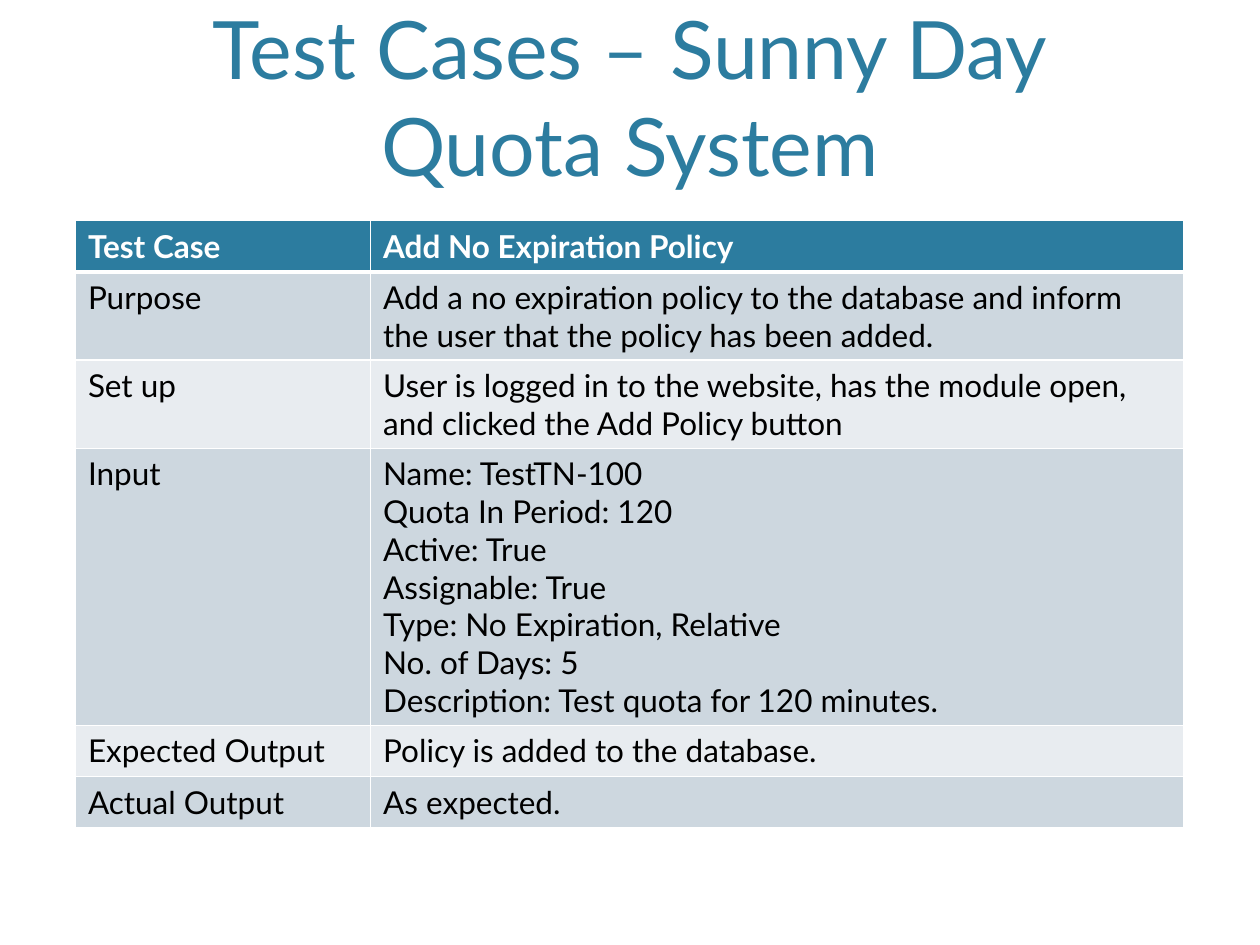
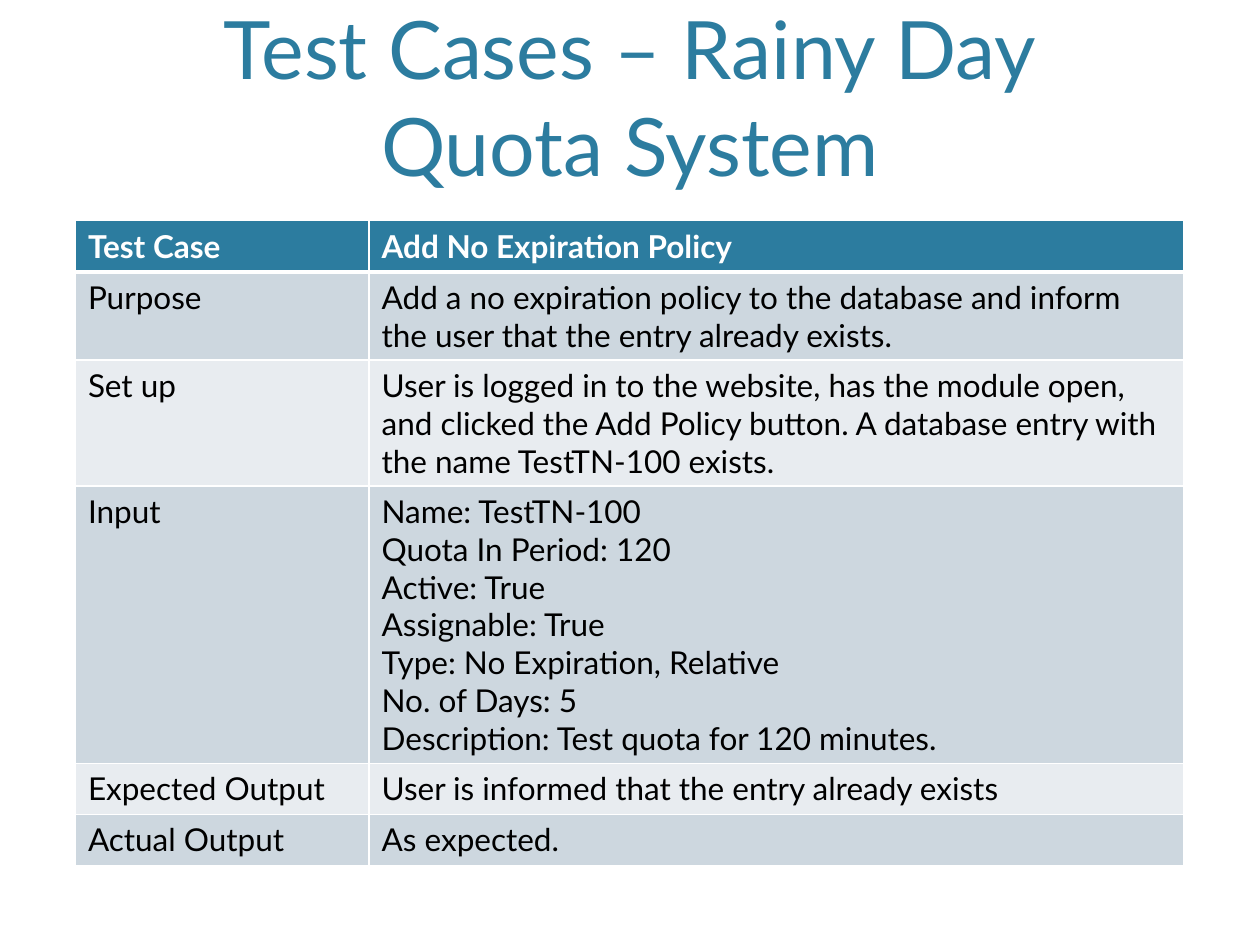
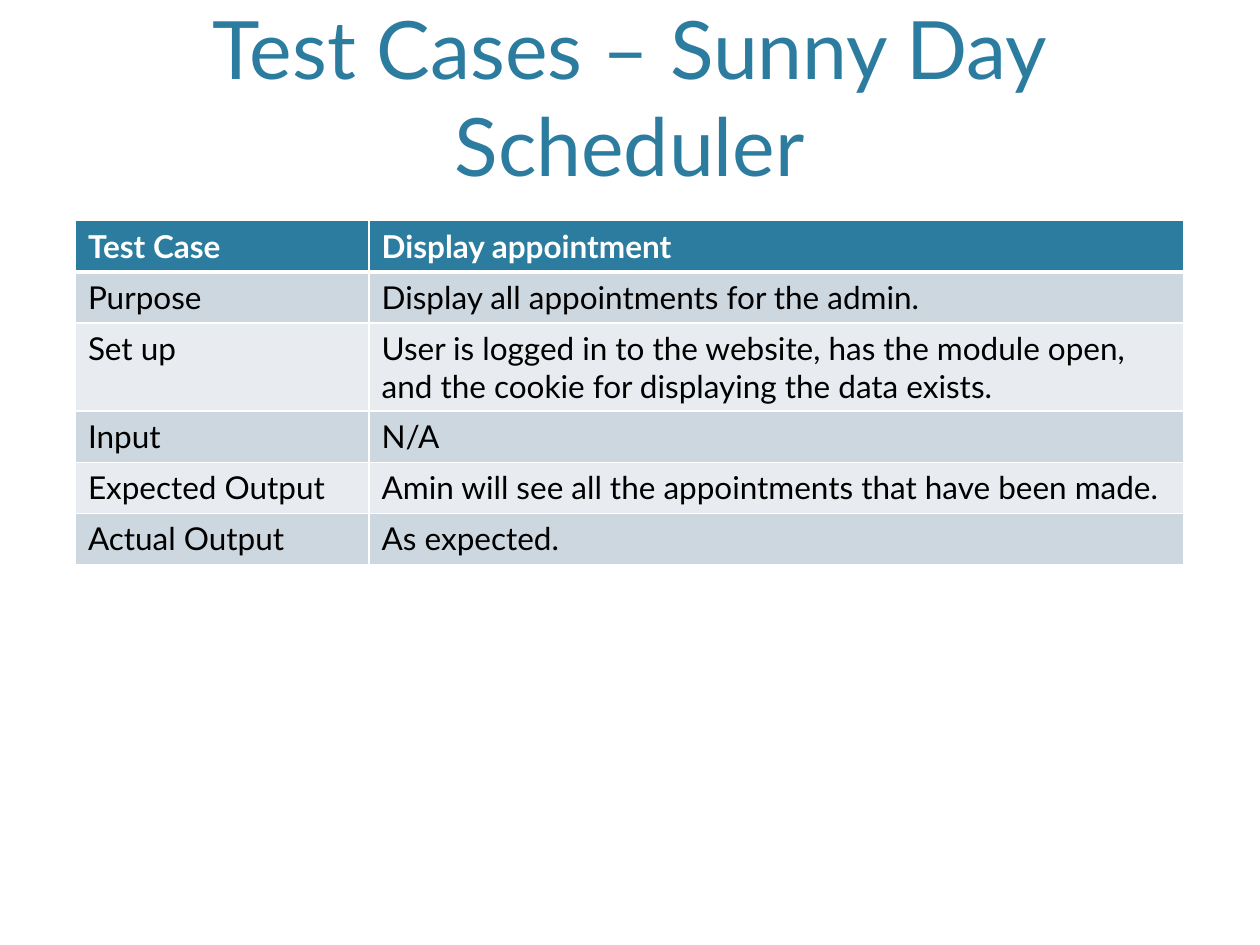
from lxml import etree
from pptx import Presentation
from pptx.dml.color import RGBColor
from pptx.enum import text
from pptx.oxml import ns
from pptx.util import Cm, Pt

# Shared look
TEAL, WHITE, BLACK = "2C7C9F", "FFFFFF", "000000"
BANDS = ["CDD7DF", "E8ECF0"]
TITLE_FONT = {"name": "Lato", "size": Pt(46), "bold": False}
HEADER_FONT = {"name": "Lato", "size": Pt(18), "bold": True}
BODY_FONT = {"name": "Lato", "size": Pt(18), "bold": False}
TITLE_BOX = {"left": Cm(1.52), "top": Cm(0.3), "width": Cm(22.35), "height": Cm(3.71)}
TITLE_FRAME = {
    "vertical_anchor": text.MSO_ANCHOR.BOTTOM,
    "auto_size": text.MSO_AUTO_SIZE.NONE,
    "word_wrap": True,
}
TABLE_WIDTH, ROW_HEIGHT = Cm(22.34), Cm(1.03)

# Content: title, label column width in cm, table entries
LABELS = ["Test Case", "Purpose", "Set up", "Input", "Expected Output", "Actual Output"]
QUOTA_INPUT = """Name: TestTN-100
Quota In Period: 120
Active: True
Assignable: True
Type: No Expiration, Relative
No. of Days: 5
Description: Test quota for 120 minutes."""

test_cases = [
    ("Test Cases – Sunny Day\vQuota System", 5.95, [
        "Add No Expiration Policy",
        "Add a no expiration policy to the database and inform the user "
        "that the policy has been added.",
        "User is logged in to the website, has the module open, "
        "and clicked the Add Policy button",
        QUOTA_INPUT,
        "Policy is added to the database.",
        "As expected.",
    ]),
    ("Test Cases – Rainy Day\vQuota System", 5.92, [
        "Add No Expiration Policy",
        "Add a no expiration policy to the database and inform the user "
        "that the entry already exists.",
        "User is logged in to the website, has the module open, "
        "and clicked the Add Policy button. A database entry with "
        "the name TestTN-100 exists.",
        QUOTA_INPUT,
        "User is informed that the entry already exists",
        "As expected.",
    ]),
    ("Test Cases – Sunny Day\vScheduler", 5.92, [
        "Display appointment",
        "Display all appointments for the admin.",
        "User is logged in to the website, has the module open, "
        "and the cookie for displaying the data exists.",
        "N/A",
        "Amin will see all the appointments that have been made.",
        "As expected.",
    ]),
]


def style_text(frame, font_format, color, align):
    for paragraph in frame.paragraphs:
        paragraph.alignment = align
        for run in paragraph.runs:
            for key, value in font_format.items():
                setattr(run.font, key, value)
            run.font.color.rgb = RGBColor.from_string(color)


def add_borders(cell, widths):
    properties = cell._tc.get_or_add_tcPr()
    for side, points in widths.items():
        line = etree.SubElement(properties, ns.qn(f"a:ln{side}"), w=str(Pt(points)))
        fill = etree.SubElement(line, ns.qn("a:solidFill"))
        etree.SubElement(fill, ns.qn("a:srgbClr"), val=WHITE)


deck = Presentation()
deck.slide_width, deck.slide_height = Cm(25.4), Cm(19.05)

for heading, label_width, entries in test_cases:
    slide = deck.slides.add_slide(deck.slide_layouts[5])

    # Title
    title = slide.shapes.title
    title.text_frame.text = heading
    for target, settings in ((title, TITLE_BOX), (title.text_frame, TITLE_FRAME)):
        for key, value in settings.items():
            setattr(target, key, value)
    style_text(title.text_frame, TITLE_FONT, TEAL, text.PP_ALIGN.CENTER)

    # Test case table
    table = slide.shapes.add_table(
        len(LABELS), 2, Cm(1.52), Cm(4.45), TABLE_WIDTH, ROW_HEIGHT * len(LABELS)
    ).table
    table.columns[0].width = Cm(label_width)
    table.columns[1].width = TABLE_WIDTH - Cm(label_width)

    for row, pair in enumerate(zip(LABELS, entries)):
        table.rows[row].height = ROW_HEIGHT
        is_header = row == 0
        band = TEAL if is_header else BANDS[(row - 1) % 2]
        borders = {"L": 1, "R": 1, "T": 3 if row == 1 else 1, "B": 3 if is_header else 1}
        for column, content in enumerate(pair):
            cell = table.cell(row, column)
            cell.text = content
            add_borders(cell, borders)
            cell.fill.solid()
            cell.fill.fore_color.rgb = RGBColor.from_string(band)
            style_text(
                cell.text_frame,
                HEADER_FONT if is_header else BODY_FONT,
                WHITE if is_header else BLACK,
                text.PP_ALIGN.LEFT,
            )

deck.save("out.pptx")
